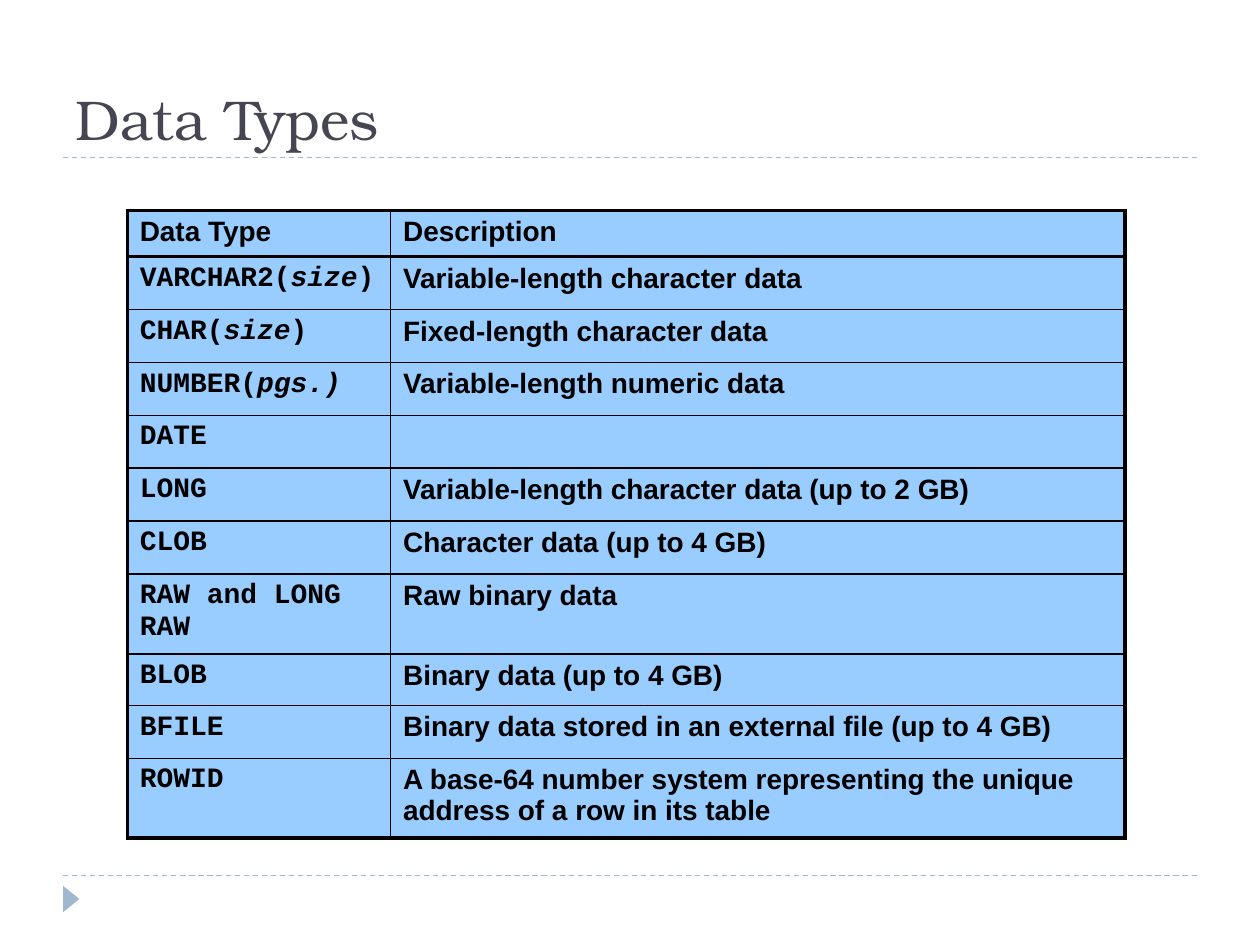
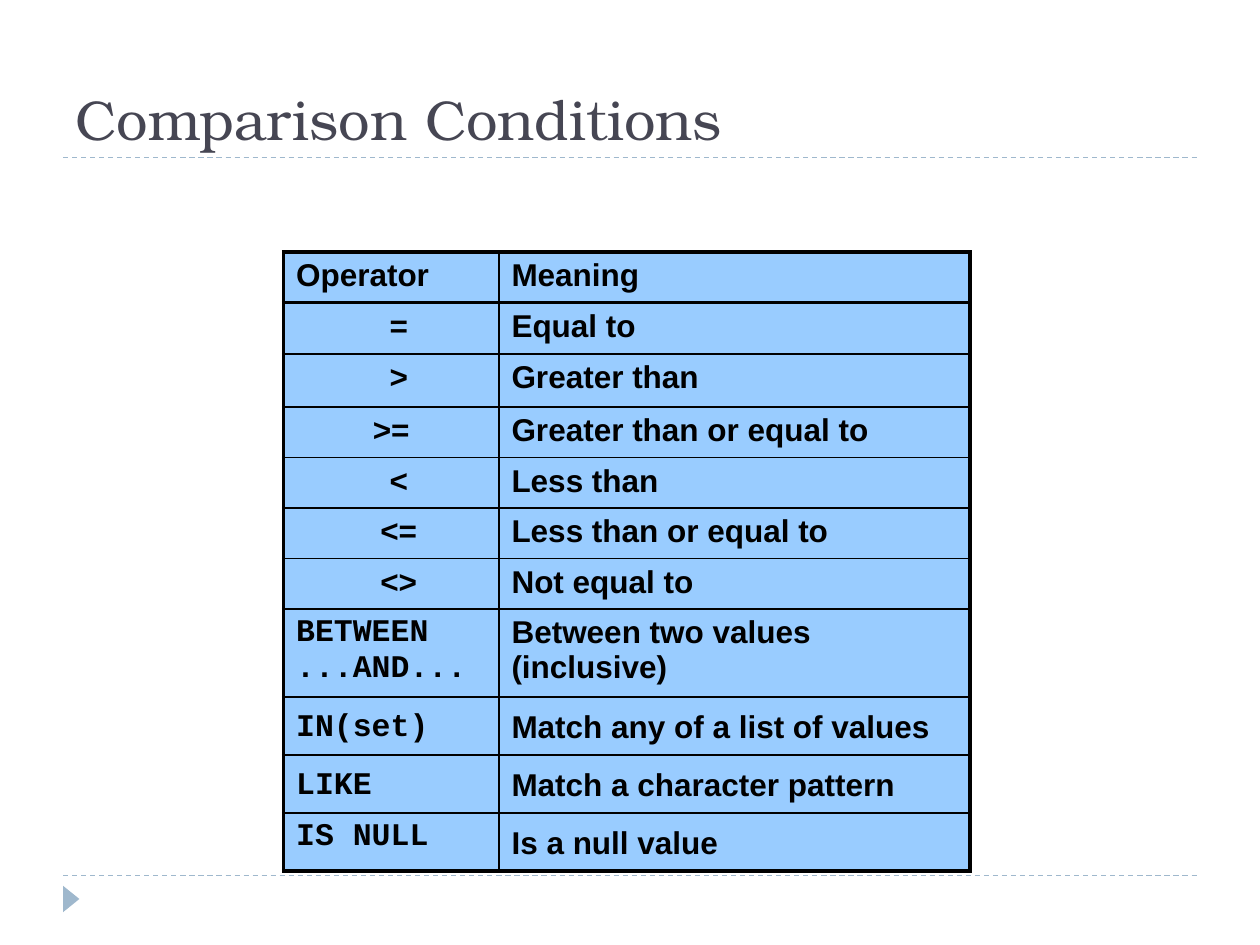
"""Builds two slides with tables of data types and comparison operators."""
from dataclasses import dataclass

from lxml.etree import SubElement
from pptx import Presentation
from pptx.dml.color import RGBColor
from pptx.enum.dml import MSO_LINE
from pptx.enum.shapes import MSO_CONNECTOR, MSO_SHAPE
from pptx.enum.text import MSO_ANCHOR, PP_ALIGN
from pptx.oxml.ns import qn
from pptx.util import Inches, Pt


@dataclass
class Theme:
    title: RGBColor = RGBColor(0x46, 0x46, 0x53)
    accent: RGBColor = RGBColor(0x9F, 0xB8, 0xCD)
    cell: RGBColor = RGBColor(0x99, 0xCC, 0xFF)
    ink: RGBColor = RGBColor(0, 0, 0)
    serif: str = "TeX Gyre Bonum"
    sans: str = "Arial"
    mono: str = "Courier New"
    head: int = 32
    thick: float = 2.25
    thin: float = 1


theme = Theme()


def edge(cell, side, width):
    line = SubElement(cell._tc.get_or_add_tcPr(), qn(f"a:ln{side}"), w=str(Pt(width)))
    fill = SubElement(line, qn("a:solidFill"))
    SubElement(fill, qn("a:srgbClr"), val=str(theme.ink))


def write(cell, text, face, size, gap, loose):
    para = cell.text_frame.paragraphs[0]
    para.font.name, para.font.size, para.font.bold = face, Pt(size), True
    para.font.color.rgb = theme.ink
    before = SubElement(para._p.pPr, qn("a:spcBef"))
    SubElement(before, qn("a:spcPct"), val=str((60 if loose else gap) * 1000))
    para._p.pPr.insert(0, before)
    if loose:
        para.line_spacing = 1.2
    for row, line in enumerate(text.split("\n")):
        if row:
            para.add_line_break()
        for part, piece in enumerate(line.split("*")):
            if piece:
                run = para.add_run()
                run.text = piece
                if part % 2:
                    run.font.italic = True
    return para


types = [
    ("Data Type", "Description"),
    ("VARCHAR2(*size*)", "Variable-length character data"),
    ("CHAR(*size*)", "Fixed-length character data"),
    ("NUMBER(*pgs.)*", "Variable-length numeric data"),
    ("DATE", ""),
    ("LONG", "Variable-length character data (up to 2 GB)"),
    ("CLOB", "Character data (up to 4 GB)"),
    ("RAW and LONG RAW", "Raw binary data"),
    ("BLOB", "Binary data (up to 4 GB)"),
    ("BFILE", "Binary data stored in an external file (up to 4 GB)"),
    ("ROWID", "A base-64 number system representing the unique address of a row in its table"),
]
tests = [
    ("Operator", "Meaning"),
    ("=", "Equal to"),
    (">", "Greater than"),
    (">=", "Greater than or equal to"),
    ("<", "Less than"),
    ("<=", "Less than or equal to"),
    ("<>", "Not equal to"),
    ("BETWEEN\n...AND...", "Between two values (inclusive)"),
    ("IN(set)", "Match any of a list of values"),
    ("LIKE", "Match a character pattern"),
    ("IS NULL", "Is a null value"),
]
loose = {"IN(set)", "LIKE", "Match any of a list of values",
         "Match a character pattern", "Is a null value"}
pages = [
    ("Data Types", types, 1.01, 1.67, (2.09, 5.83),
     [0.34] + [0.42] * 7 + [0.41] + [0.42] * 2, 16, 25),
    ("Comparison Conditions", tests, 2.25, 2, (1.71, 3.74),
     [0.34, 0.41, 0.42, 0.34] + [0.36] * 7, 18, 20),
]

deck = Presentation()
deck.slide_width, deck.slide_height = Inches(10), Inches(7.5)

for title, rows, left, top, widths, heights, size, gap in pages:
    slide = deck.slides.add_slide(deck.slide_layouts[6])
    shapes = slide.shapes

    for y in (6.95, 1.25):
        rule = shapes.add_connector(
            MSO_CONNECTOR.STRAIGHT, Inches(0.5), Inches(y), Inches(9.5), Inches(y))
        rule.line.color.rgb = theme.accent
        rule.line.width = Pt(0.75)
        rule.line.dash_style = MSO_LINE.DASH
        SubElement(rule._element.spPr, qn("a:effectLst"))

    mark = shapes.add_shape(
        MSO_SHAPE.ISOSCELES_TRIANGLE, Inches(0.46), Inches(7.07), Inches(0.21), Inches(0.13))
    mark.rotation = 90
    mark.shadow.inherit = False
    mark.fill.solid()
    mark.fill.fore_color.rgb = theme.accent
    mark.line.fill.background()

    frame = shapes.add_textbox(Inches(0.5), Inches(0.25), Inches(9), Inches(1)).text_frame
    frame.word_wrap = True
    frame.vertical_anchor = MSO_ANCHOR.BOTTOM
    para = frame.paragraphs[0]
    para.text = title
    para.font.name, para.font.size = theme.serif, Pt(theme.head)
    para.font.color.rgb = theme.title

    table = shapes.add_table(
        len(rows), 2, Inches(left), Inches(top),
        Inches(sum(widths)), Inches(sum(heights))).table
    table.first_row = table.horz_banding = False
    for col, width in zip(table.columns, widths):
        col.width = Inches(width)
    for row, height in zip(table.rows, heights):
        row.height = Inches(height)

    last = len(rows) - 1
    for r, pair in enumerate(rows):
        for c, text in enumerate(pair):
            cell = table.cell(r, c)
            bold = {"L": c == 0, "R": c == 1, "T": r < 2, "B": r in (0, last)}
            for side, heavy in bold.items():
                edge(cell, side, theme.thick if heavy else theme.thin)
            cell.fill.solid()
            cell.fill.fore_color.rgb = theme.cell

            sign = text != "" and set(text) <= set("<>=")
            code = r > 0 and c == 0 and not sign
            face = theme.mono if code else theme.sans
            para = write(cell, text, face, size, gap, text in loose)
            if sign:
                para.alignment = PP_ALIGN.CENTER
                if text != ">=":
                    para.level = 1
                    para._p.pPr.set("marL", str(Inches(0.12)))
                    para._p.pPr.set("indent", "0")

deck.save("out.pptx")
